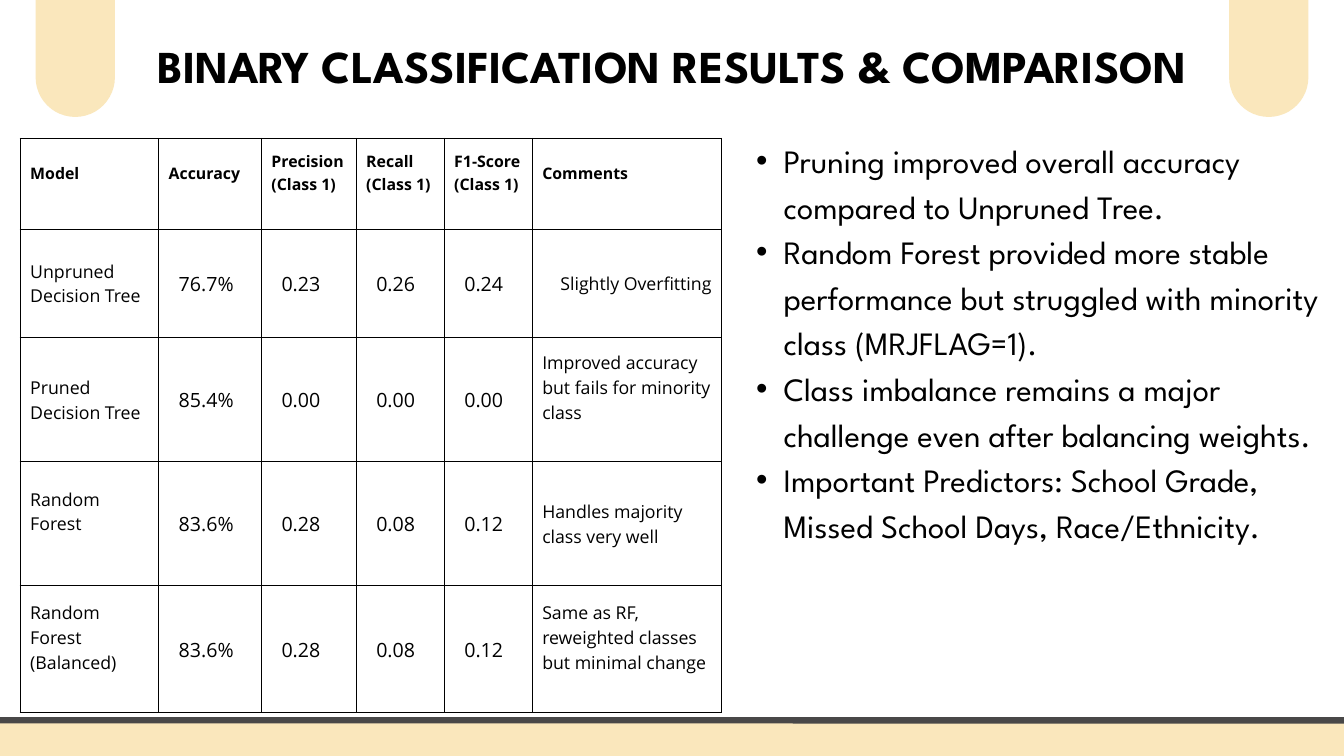
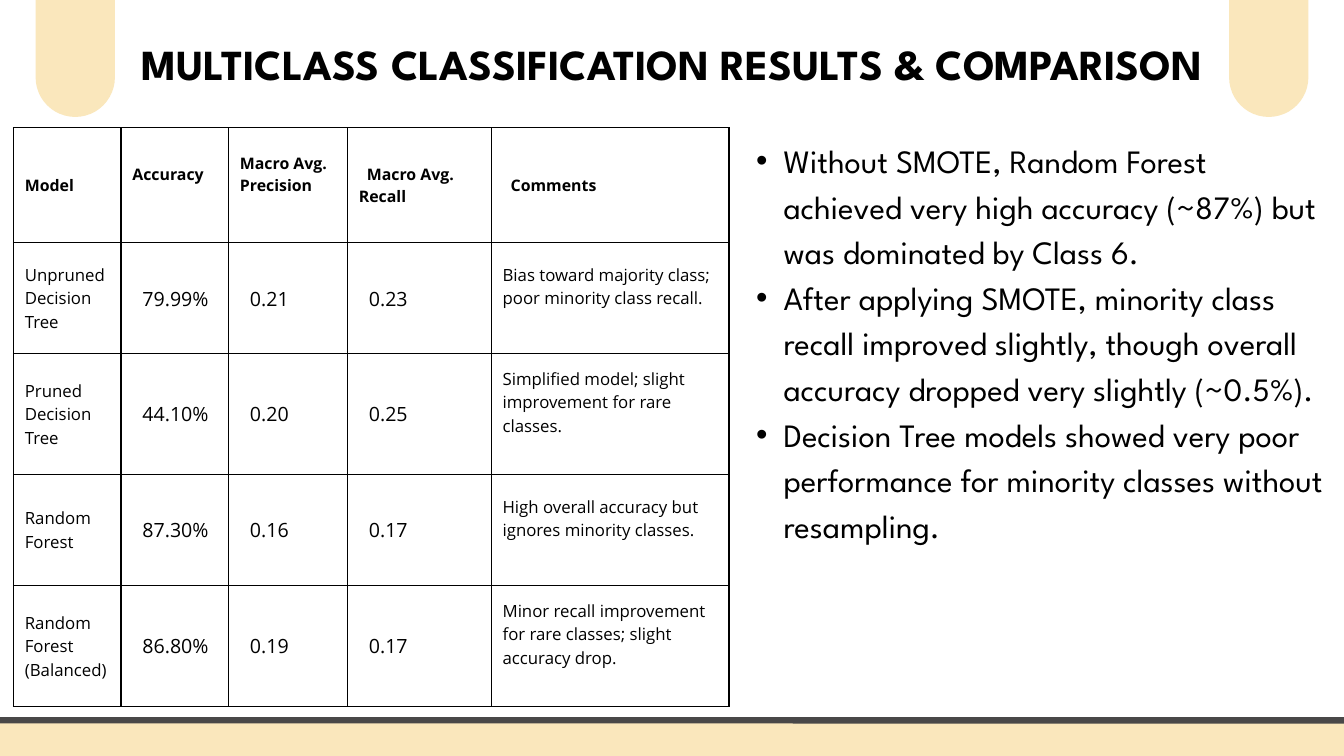
from dataclasses import dataclass, field

from lxml import etree
from pptx import Presentation, util as u
from pptx.dml.color import RGBColor
from pptx.enum import shapes, text
from pptx.oxml import ns

WIDTH, HEIGHT = u.Inches(20), u.Inches(11.25)


@dataclass(frozen=True)
class Theme:
    cream: str = "FAE7BC"
    charcoal: str = "494848"
    black: str = "000000"
    display_font: str = "League Spartan"
    table_font: str = "Open Sans"
    bullet_size: float = 34.9
    header_size: float = 17
    value_size: float = 21
    leading: float = 1.4
    band_line: float = 6.75
    border: float = 1.5


THEME = Theme()


@dataclass
class Results:
    """One results slide; table lengths are percentages, cells are (row, column)."""
    title: str
    title_size: float
    left: float
    top: float
    columns: list
    row_heights: list
    padding: float
    label_size: float
    cells: list
    bullets: list
    raised: set  # cells whose text sits half a line above the middle
    right_aligned: set = field(default_factory=set)
    indented: set = field(default_factory=set)


BINARY = Results(
    title="BINARY CLASSIFICATION RESULTS & COMPARISON",
    title_size=48.9,
    left=1.5, top=18.31,
    columns=[10.3, 7.65, 7.05, 6.55, 6.55, 14.1],
    row_heights=[12, 14.31, 16.44, 16.44, 16.8],
    padding=0.75, label_size=19,
    cells=[
        ["Model", "Accuracy", "Precision (Class 1)", "Recall (Class 1)",
         "F1-Score (Class 1)", "Comments"],
        ["Unpruned Decision Tree", "76.7%", "0.23", "0.26", "0.24", "Slightly Overfitting"],
        ["Pruned Decision Tree", "85.4%", "0.00", "0.00", "0.00",
         "Improved accuracy but fails for minority class"],
        ["Random Forest", "83.6%", "0.28", "0.08", "0.12", "Handles majority class very well"],
        ["Random Forest (Balanced)", "83.6%", "0.28", "0.08", "0.12",
         "Same as RF, reweighted classes but minimal change"],
    ],
    bullets=[
        "Pruning improved overall accuracy compared to Unpruned Tree.",
        "Random Forest provided more stable performance but struggled with minority class "
        "(MRJFLAG=1).",
        "Class imbalance remains a major challenge even after balancing weights.",
        "Important Predictors: School Grade, Missed School Days, Race/Ethnicity.",
    ],
    raised={(0, column) for column in range(6)} | {(2, 5), (3, 0), (4, 0), (4, 5)},
    right_aligned={(1, 5)},
)

MULTICLASS = Results(
    title="MULTICLASS CLASSIFICATION RESULTS & COMPARISON",
    title_size=45.9,
    left=1, top=16.89,
    columns=[8, 8, 8.85, 10.7, 17.7],
    row_heights=[15.2, 14.67, 16, 14.67, 16],
    padding=0.85, label_size=18,
    cells=[
        ["Model", "Accuracy", "Macro Avg. Precision", "Macro Avg. Recall", "Comments"],
        ["Unpruned Decision Tree", "79.99%", "0.21", "0.23",
         "Bias toward majority class; poor minority class recall."],
        ["Pruned Decision Tree", "44.10%", "0.20", "0.25",
         "Simplified model; slight improvement for rare classes."],
        ["Random Forest", "87.30%", "0.16", "0.17",
         "High overall accuracy but ignores minority classes."],
        ["Random Forest\n(Balanced)", "86.80%", "0.19", "0.17",
         "Minor recall improvement for rare classes; slight accuracy drop."],
    ],
    bullets=[
        "Without SMOTE, Random Forest achieved very high accuracy (~87%) but was dominated "
        "by Class 6.",
        "After applying SMOTE, minority class recall improved slightly, though overall "
        "accuracy dropped very slightly (~0.5%).",
        "Decision Tree models showed very poor performance for minority classes without "
        "resampling.",
    ],
    raised={(0, 1), (0, 2)} | {(row, 4) for row in range(1, 5)},
    indented={(0, 3), (0, 4)},
)


def across(percent):
    return round(WIDTH * percent / 100)


def down(percent):
    return round(HEIGHT * percent / 100)


def frame(left, top, width, height):
    return across(left), down(top), across(width), down(height)


def style(paragraph, size, font_name, bold=False, align=text.PP_ALIGN.LEFT):
    paragraph.alignment = align
    paragraph.line_spacing = u.Pt(size * THEME.leading)
    font = paragraph.font
    font.size, font.name, font.bold = u.Pt(size), font_name, bold
    font.color.rgb = RGBColor.from_string(THEME.black)


def indent(paragraph, left, first_line):
    properties = paragraph._p.get_or_add_pPr()
    properties.set("marL", str(left))
    properties.set("indent", str(first_line))
    return properties


def add_rounded(slide, left, top, width, height, roundness):
    shape = slide.shapes.add_shape(
        shapes.MSO_SHAPE.ROUNDED_RECTANGLE, *frame(left, top, width, height))
    shape.adjustments[0] = roundness
    shape.shadow.inherit = False
    shape.fill.solid()
    shape.fill.fore_color.rgb = RGBColor.from_string(THEME.cream)
    shape.line.fill.background()
    return shape


def add_decoration(slide):
    """Two tabs hanging from the top edge and a band along the bottom."""
    tab_width, tab_margin = 5.9, 2.65
    for left in (tab_margin, 100 - tab_margin - tab_width):
        add_rounded(slide, left, -9.6, tab_width, 25.07, 0.5)
    band = add_rounded(slide, -2.9, 95.29, 105.8, 8, 0.1)
    band.line.color.rgb = RGBColor.from_string(THEME.charcoal)
    band.line.width = u.Pt(THEME.band_line)


def add_text_frame(slide, left, top, width, height):
    text_frame = slide.shapes.add_textbox(*frame(left, top, width, height)).text_frame
    text_frame.word_wrap = True
    text_frame.margin_left = text_frame.margin_right = 0
    text_frame.margin_top = text_frame.margin_bottom = 0
    return text_frame


def add_title(slide, title, size):
    text_frame = add_text_frame(slide, 7.1, 3.85, 85.8, 7.9)
    text_frame.text = title
    style(text_frame.paragraphs[0], size, THEME.display_font, True, text.PP_ALIGN.CENTER)


def add_bullets(slide, bullets):
    text_frame = add_text_frame(slide, 54.2, 17.78, 44.9, 71.9)
    text_frame.text = "\n".join(bullets)
    for paragraph in text_frame.paragraphs:
        style(paragraph, THEME.bullet_size, THEME.display_font)
        properties = indent(paragraph, across(4.1), -across(2.05))
        etree.SubElement(properties, ns.qn("a:buFont"), typeface="Arial")
        etree.SubElement(properties, ns.qn("a:buChar"), char="•")


def set_borders(cell):
    properties = cell._tc.get_or_add_tcPr()
    for position, side in enumerate("LRTB"):
        line = etree.Element(ns.qn(f"a:ln{side}"), w=str(u.Pt(THEME.border)))
        fill = etree.SubElement(line, ns.qn("a:solidFill"))
        etree.SubElement(fill, ns.qn("a:srgbClr"), val=THEME.black)
        properties.insert(position, line)


def fill_cell(cell, place, results):
    row, column = place
    is_header = row == 0
    is_value = not is_header and 0 < column < len(results.columns) - 1
    size = (THEME.header_size if is_header
            else THEME.value_size if is_value else results.label_size)
    align = text.PP_ALIGN.RIGHT if place in results.right_aligned else text.PP_ALIGN.LEFT

    cell.text = results.cells[row][column]
    cell.vertical_anchor = text.MSO_ANCHOR.MIDDLE
    padding = across(results.padding)
    cell.margin_left = cell.margin_right = cell.margin_top = cell.margin_bottom = padding
    if place in results.raised:
        cell.margin_bottom = padding + u.Pt(size * THEME.leading)
    for paragraph in cell.text_frame.paragraphs:
        style(paragraph, size, THEME.table_font, is_header, align)
        if is_value:
            indent(paragraph, across(0.75), 0)
        elif place in results.indented:
            indent(paragraph, 0, across(0.6))
    cell.fill.background()
    set_borders(cell)


def add_results_table(slide, results):
    columns, rows = results.columns, results.row_heights
    table = slide.shapes.add_table(
        len(rows), len(columns),
        *frame(results.left, results.top, sum(columns), sum(rows))).table
    table.first_row = table.horz_banding = False
    for column, width in zip(table.columns, columns):
        column.width = across(width)
    for row_index, height in enumerate(rows):
        table.rows[row_index].height = down(height)
        for column_index in range(len(columns)):
            fill_cell(table.cell(row_index, column_index), (row_index, column_index), results)


def add_results_slide(presentation, results):
    slide = presentation.slides.add_slide(presentation.slide_layouts[6])
    add_decoration(slide)
    add_results_table(slide, results)
    add_title(slide, results.title, results.title_size)
    add_bullets(slide, results.bullets)


def main():
    presentation = Presentation()
    presentation.slide_width, presentation.slide_height = WIDTH, HEIGHT
    for results in (BINARY, MULTICLASS):
        add_results_slide(presentation, results)
    presentation.save("out.pptx")


if __name__ == "__main__":
    main()
